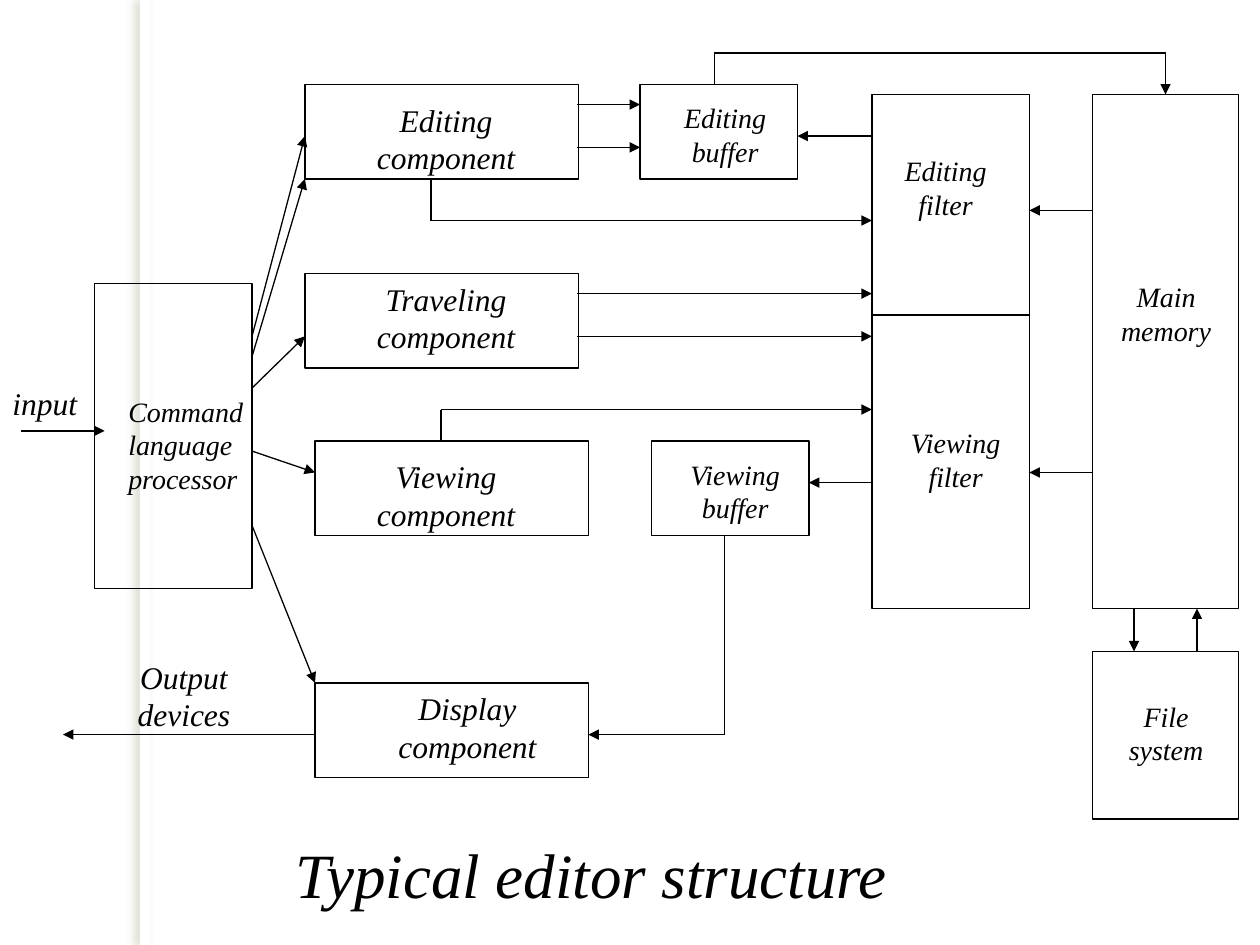
"""Build the slide showing a typical editor structure."""
from lxml import etree
from pptx import Presentation
from pptx import util as u
from pptx.dml.color import RGBColor
from pptx.enum import shapes, text
from pptx.oxml import ns

BLACK = RGBColor(0x00, 0x00, 0x00)
WHITE = RGBColor(0xFF, 0xFF, 0xFF)
SHADOW = RGBColor(0x7E, 0x77, 0x47)
FONT = "Times New Roman"
CENTER, LEFT = text.PP_ALIGN.CENTER, text.PP_ALIGN.LEFT

BOXES = {
    "editing component": (2.42, 0.67, 2.17, 0.75),
    "traveling component": (2.42, 2.17, 2.17, 0.75),
    "viewing component": (2.5, 3.5, 2.17, 0.75),
    "display component": (2.5, 5.42, 2.17, 0.75),
    "command processor": (0.75, 2.25, 1.25, 2.42),
    "editing buffer": (5.08, 0.67, 1.25, 0.75),
    "viewing buffer": (5.17, 3.5, 1.25, 0.75),
    "filters": (6.92, 0.75, 1.25, 4.08),
    "main memory": (8.67, 0.75, 1.16, 4.08),
    "file system": (8.67, 5.17, 1.16, 1.33),
}

LABELS = [
    ("Editing component", 2.75, 0.75, 1.58, 0.7, 18, CENTER),
    ("Traveling component", 2.75, 2.17, 1.58, 0.7, 18, CENTER),
    ("Viewing component", 2.75, 3.58, 1.58, 0.7, 18, CENTER),
    ("Display component", 2.92, 5.42, 1.58, 0.7, 18, CENTER),
    ("Output devices", 0.67, 5.17, 1.58, 0.7, 18, CENTER),
    ("Command language processor", 0.92, 3.08, 1.33, 0.9, 16, LEFT),
    ("Editing buffer", 5.17, 0.75, 1.17, 0.64, 16, CENTER),
    ("Viewing buffer", 5.25, 3.58, 1.17, 0.64, 16, CENTER),
    ("Editing filter", 6.92, 1.17, 1.17, 0.64, 16, CENTER),
    ("Viewing filter", 7, 3.33, 1.17, 0.64, 16, CENTER),
    ("Main memory", 8.67, 2.17, 1.17, 0.64, 16, CENTER),
    ("File system", 8.67, 5.5, 1.17, 0.64, 16, CENTER),
    ("input", 0, 3, 0.75, 0.4, 18, LEFT),
    ("Typical editor structure", 2.25, 6.58, 5.75, 0.7, 36, LEFT),
]

ROUTES = [
    [(0.17, 3.42), (0.83, 3.42)],
    [(2, 2.67), (2.42, 1.08)],
    [(2, 2.83), (2.42, 1.42)],
    [(2, 3.08), (2.42, 2.67)],
    [(2, 3.58), (2.5, 3.75)],
    [(2, 4.17), (2.5, 5.42)],
    [(4.58, 0.83), (5.08, 0.83)],
    [(4.58, 1.17), (5.08, 1.17)],
    [(4.58, 2.33), (6.92, 2.33)],
    [(4.58, 2.67), (6.92, 2.67)],
    [(9, 4.83), (9, 5.17)],
    [(9.5, 5.17), (9.5, 4.83)],
    [(8.67, 1.67), (8.17, 1.67)],
    [(8.67, 3.75), (8.17, 3.75)],
    [(6.92, 1.08), (6.33, 1.08)],
    [(6.92, 3.83), (6.42, 3.83)],
    [(2.5, 5.83), (0.5, 5.83)],
    [(5.75, 4.25), (5.75, 5.83), (4.67, 5.83)],
    [(3.42, 1.42), (3.42, 1.75), (6.92, 1.75)],
    [(3.5, 3.5), (3.5, 3.25), (6.92, 3.25)],
]
MEMORY_ROUTE = [(5.67, 0.67), (5.67, 0.42), (9.25, 0.42), (9.25, 0.75)]


def add_rect(s, left, top, width, height):
    """Add a plain rectangle without a shadow."""
    sp = s.shapes.add_shape(shapes.MSO_SHAPE.RECTANGLE, u.Inches(left),
                            u.Inches(top), u.Inches(width), u.Inches(height))
    sp.shadow.inherit = False
    return sp


def add_band(s):
    """Add the white vertical band with a soft shadow on its left."""
    sp = add_rect(s, 1.11, 0, 0.08, 7.5)
    sp.fill.solid()
    sp.fill.fore_color.rgb = WHITE
    sp.line.fill.background()
    effects = sp._element.spPr.find(ns.qn("a:effectLst"))
    shadow = etree.SubElement(effects, ns.qn("a:outerShdw"),
                              blurRad=str(u.Pt(5)), dist=str(u.Pt(3)),
                              dir=str(180 * 60000), algn="tl", rotWithShape="0")
    color = etree.SubElement(shadow, ns.qn("a:srgbClr"), val=str(SHADOW))
    etree.SubElement(color, ns.qn("a:alpha"), val="25000")


def add_box(s, bounds):
    """Add an outlined, unfilled component box."""
    sp = add_rect(s, *bounds)
    sp.fill.background()
    sp.line.color.rgb = BLACK
    sp.line.width = u.Pt(0.75)
    return sp


def add_label(s, words, left, top, width, height, size, align):
    """Add an italic text label."""
    sp = s.shapes.add_textbox(u.Inches(left), u.Inches(top),
                              u.Inches(width), u.Inches(height))
    tf = sp.text_frame
    tf.word_wrap = True
    tf.auto_size = text.MSO_AUTO_SIZE.SHAPE_TO_FIT_TEXT
    tf.text = words
    p = tf.paragraphs[0]
    p.alignment = align
    font = p.runs[0].font
    font.name = FONT
    font.size = u.Pt(size)
    font.italic = True
    font.color.rgb = BLACK


def add_line(s, start, end, arrow=False):
    """Add a straight line, with an arrowhead at its end if asked."""
    line = s.shapes.add_connector(shapes.MSO_CONNECTOR.STRAIGHT,
                                  *map(u.Inches, start + end))
    line.line.color.rgb = BLACK
    line.line.width = u.Pt(0.75)
    if arrow:
        etree.SubElement(line.line._get_or_add_ln(), ns.qn("a:tailEnd"),
                         type="triangle")
    etree.SubElement(line._element.spPr, ns.qn("a:effectLst"))
    return line


def add_route(s, points):
    """Add the segments of a route and return the last, which has the arrow."""
    for start, end in zip(points, points[1:]):
        line = add_line(s, start, end, arrow=end == points[-1])
    return line


def main():
    """Build and save the slide."""
    prs = Presentation()
    prs.slide_width, prs.slide_height = u.Inches(10), u.Inches(7.5)
    s = prs.slides.add_slide(prs.slide_layouts[6])
    add_band(s)
    boxes = {name: add_box(s, bounds) for name, bounds in BOXES.items()}
    for label in LABELS:
        add_label(s, *label)
    add_line(s, (6.92, 2.5), (8.17, 2.5))
    for points in ROUTES:
        add_route(s, points)
    add_route(s, MEMORY_ROUTE).end_connect(boxes["main memory"], 0)
    prs.save("out.pptx")


if __name__ == "__main__":
    main()
